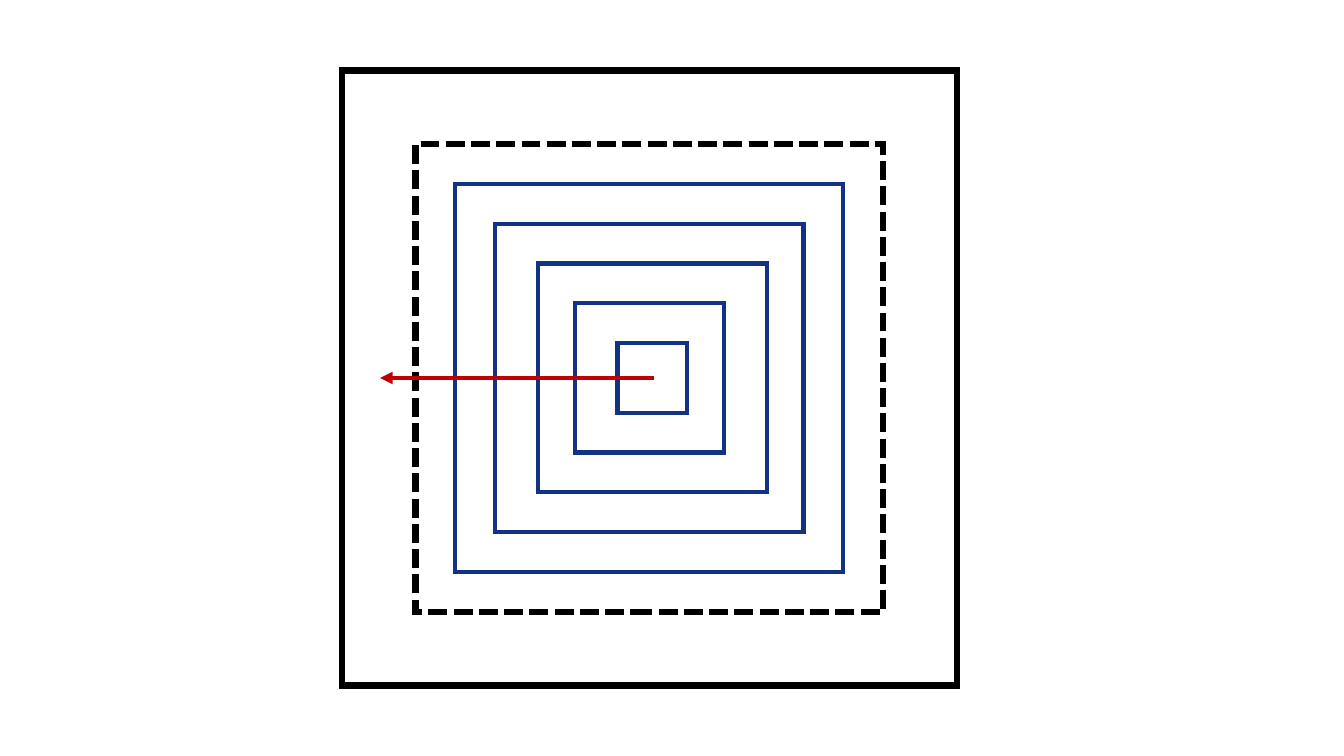
"""Draw nested squares with an arrow leading outward from their centre."""
from dataclasses import dataclass
from typing import Optional

from lxml.etree import SubElement
from pptx import Presentation
from pptx.dml.color import RGBColor
from pptx.dml.line import LineFormat
from pptx.enum.dml import MSO_LINE
from pptx.enum.shapes import MSO_CONNECTOR, MSO_SHAPE
from pptx.oxml.ns import qn
from pptx.slide import Slide
from pptx.util import Inches, Pt

BLACK, WHITE, BLUE, RED = "000000", "FFFFFF", "123282", "C00000"
CENTER_X, CENTER_Y = 6.44, 3.75
RING_SIZE, RING_STEP = 0.69, 0.79


@dataclass(frozen=True)
class Square:
    """A square outline given by its centre and side in inches."""

    side: float
    center_x: float = CENTER_X
    color: str = BLUE
    width: float = 3
    fill: Optional[str] = None
    dash: Optional[MSO_LINE] = None


def rgb(color: str) -> RGBColor:
    """Turn a hex string into a colour."""
    return RGBColor.from_string(color)


def format_line(line: LineFormat, color: str, width: float) -> None:
    """Set the colour and the width in points of a line."""
    line.color.rgb = rgb(color)
    line.width = Pt(width)


def draw_square(slide: Slide, square: Square) -> None:
    """Draw a square with mitred corners."""
    left = square.center_x - square.side / 2
    top = CENTER_Y - square.side / 2
    side = Inches(square.side)
    shape = slide.shapes.add_shape(
        MSO_SHAPE.RECTANGLE, Inches(left), Inches(top), side, side
    )
    shape.shadow.inherit = False
    if square.fill:
        shape.fill.solid()
        shape.fill.fore_color.rgb = rgb(square.fill)
    else:
        shape.fill.background()
    format_line(shape.line, square.color, square.width)
    if square.dash:
        shape.line.dash_style = square.dash
    outline = shape.line._get_or_add_ln()
    SubElement(outline, qn("a:miter"), lim="800000")


def draw_arrow(slide: Slide, start_x: float, end_x: float) -> None:
    """Draw the horizontal arrow through the centre."""
    arrow = slide.shapes.add_connector(
        MSO_CONNECTOR.STRAIGHT,
        Inches(start_x), Inches(CENTER_Y), Inches(end_x), Inches(CENTER_Y),
    )
    format_line(arrow.line, RED, 3)
    SubElement(arrow.line._get_or_add_ln(), qn("a:tailEnd"), type="triangle")
    SubElement(arrow._element.spPr, qn("a:effectLst"))


def main() -> None:
    """Build and save the presentation."""
    presentation = Presentation()
    presentation.slide_width = Inches(13.33)
    presentation.slide_height = Inches(7.5)
    slide = presentation.slides.add_slide(presentation.slide_layouts[6])

    frames = [
        Square(6.1, color=BLACK, width=4.5, fill=WHITE),
        Square(4.64, color=BLACK, width=4.5, fill=WHITE, dash=MSO_LINE.SQUARE_DOT),
    ]
    ring_centers = [6.47, CENTER_X, 6.47, CENTER_X, CENTER_X]
    rings = [
        Square(RING_SIZE + index * RING_STEP, center_x)
        for index, center_x in enumerate(ring_centers)
    ]
    for square in frames + rings[::-1]:
        draw_square(slide, square)
    draw_arrow(slide, 6.49, 3.77)
    presentation.save("out.pptx")


if __name__ == "__main__":
    main()
